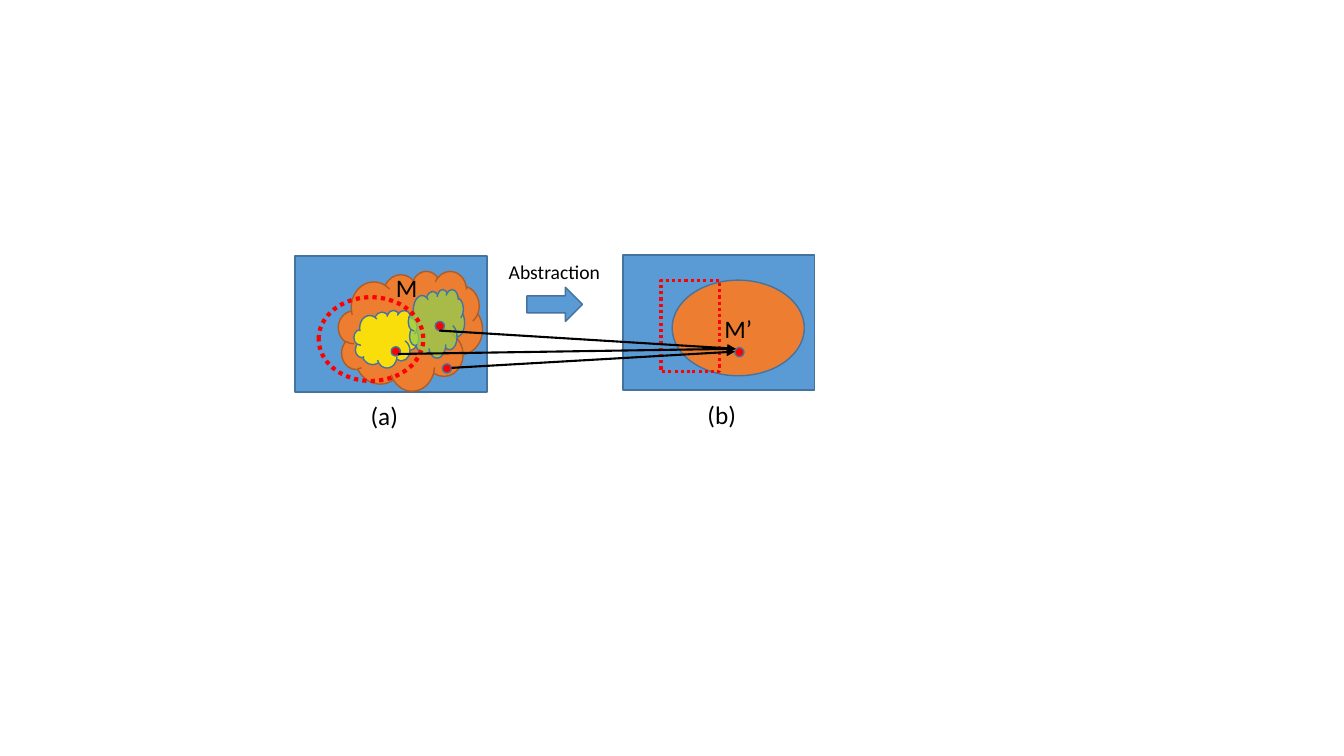
import pptx
import pptx.util
import pptx.dml.color
import pptx.enum.dml
import pptx.enum.shapes
import pptx.enum.text
import pptx.oxml
import pptx.oxml.ns

Cm = pptx.util.Cm
Pt = pptx.util.Pt
RGBColor = pptx.dml.color.RGBColor
SHAPE = pptx.enum.shapes.MSO_SHAPE
ALIGN = pptx.enum.text.PP_ALIGN
qn = pptx.oxml.ns.qn

COLORS = {
    "blue": "5B9BD5", "edge": "43739E", "orange": "ED7D31", "brown": "AF5C24",
    "yellow": "FFFF00", "green": "92D050", "red": "FF0000", "black": "000000",
}

presentation = pptx.Presentation()
presentation.slide_width = Cm(33.87)
presentation.slide_height = Cm(19.05)
slide = presentation.slides.add_slide(presentation.slide_layouts[6])


def add_figure(kind, left, top, width, height, fill, edge="edge", weight=1):
    shape = slide.shapes.add_shape(kind, Cm(left), Cm(top), Cm(width), Cm(height))
    shape.shadow.inherit = False
    if fill:
        shape.fill.solid()
        shape.fill.fore_color.rgb = RGBColor.from_string(COLORS[fill])
    else:
        shape.fill.background()
        shape.line.dash_style = pptx.enum.dml.MSO_LINE.ROUND_DOT
    shape.line.color.rgb = RGBColor.from_string(COLORS[edge])
    shape.line.width = Pt(weight)
    if fill in ("yellow", "green"):  # translucent subregions
        color = shape.fill._xPr.find(qn("a:solidFill"))[0]
        color.append(pptx.oxml.parse_xml(
            f'<a:alpha {pptx.oxml.ns.nsdecls("a")} val="75000"/>'))
    return shape


def write_label(shape, text, size, align):
    paragraph = shape.text_frame.paragraphs[0]
    paragraph.text = text
    paragraph.alignment = align
    font_format = {"name": "Calibri", "size": Pt(size)}
    for attribute, value in font_format.items():
        setattr(paragraph.font, attribute, value)
    paragraph.font.color.rgb = RGBColor.from_string(COLORS["black"])


# Panels, regions and state points, from back to front
DOT = 0.23
add_figure(SHAPE.RECTANGLE, 15.7, 6.43, 4.83, 3.4, "blue")
add_figure(SHAPE.RECTANGLE, 7.44, 6.45, 4.83, 3.43, "blue")
add_figure(SHAPE.CLOUD, 8.53, 6.83, 3.63, 3.02, "orange", "brown")
add_figure(SHAPE.CLOUD, 8.92, 7.82, 1.63, 1.45, "yellow")
abstract_model = add_figure(SHAPE.OVAL, 16.94, 7.06, 3.33, 2.41, "orange")
abstract_model.text_frame.vertical_anchor = pptx.enum.text.MSO_ANCHOR.MIDDLE
write_label(abstract_model, "M’", 18, ALIGN.CENTER)
add_figure(SHAPE.RECTANGLE, 16.66, 7.06, 1.47, 2.31, None, "red", 2.25)
add_figure(SHAPE.CLOUD, 10.29, 7.29, 1.42, 1.73, "green")
for left, top in [(9.86, 8.74), (11.15, 9.17), (18.52, 8.76), (10.97, 8.1)]:
    add_figure(SHAPE.OVAL, left, top, DOT, DOT, "red")
add_figure(SHAPE.OVAL, 8.03, 7.49, 2.64, 2.11, None, "red", 3)
add_figure(SHAPE.RIGHT_ARROW, 13.28, 7.24, 1.4, 0.86, "blue")

# Labels
for text, left, top, width, height, size in [
    ("Abstraction", 12.57, 6.43, 2.84, 0.86, 14),
    ("(a)", 9.09, 9.96, 1.22, 1.02, 18),
    ("(b)", 17.58, 9.93, 1.24, 1.02, 18),
    ("M", 9.73, 6.73, 1.07, 1.02, 18),
]:
    label = slide.shapes.add_textbox(Cm(left), Cm(top), Cm(width), Cm(height))
    label.text_frame.word_wrap = False
    label.text_frame.auto_size = pptx.enum.text.MSO_AUTO_SIZE.SHAPE_TO_FIT_TEXT
    write_label(label, text, size, ALIGN.LEFT)

# Arrows mapping concrete points to the abstract point
for start_x, start_y, end_x, end_y in [
    (11.38, 9.27, 18.52, 8.86),
    (11.07, 8.33, 18.54, 8.79),
    (10.03, 8.92, 18.54, 8.79),
]:
    arrow = slide.shapes.add_connector(
        pptx.enum.shapes.MSO_CONNECTOR.STRAIGHT,
        Cm(start_x), Cm(start_y), Cm(end_x), Cm(end_y))
    arrow.line.color.rgb = RGBColor.from_string(COLORS["black"])
    arrow.line.width = Pt(1.5)
    line = arrow.line._get_or_add_ln()
    line.append(line.makeelement(qn("a:tailEnd"), {"type": "triangle"}))
    properties = arrow._element.spPr
    properties.append(properties.makeelement(qn("a:effectLst"), {}))

presentation.save("out.pptx")
